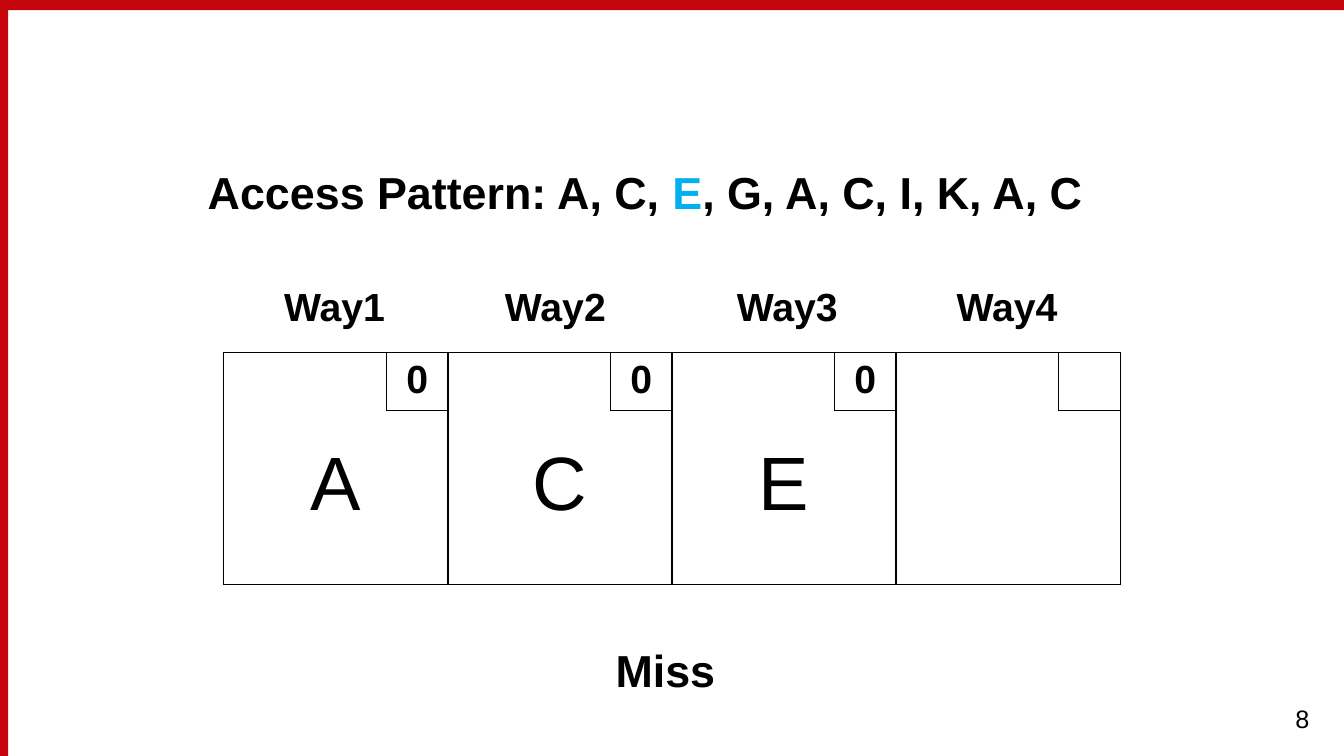
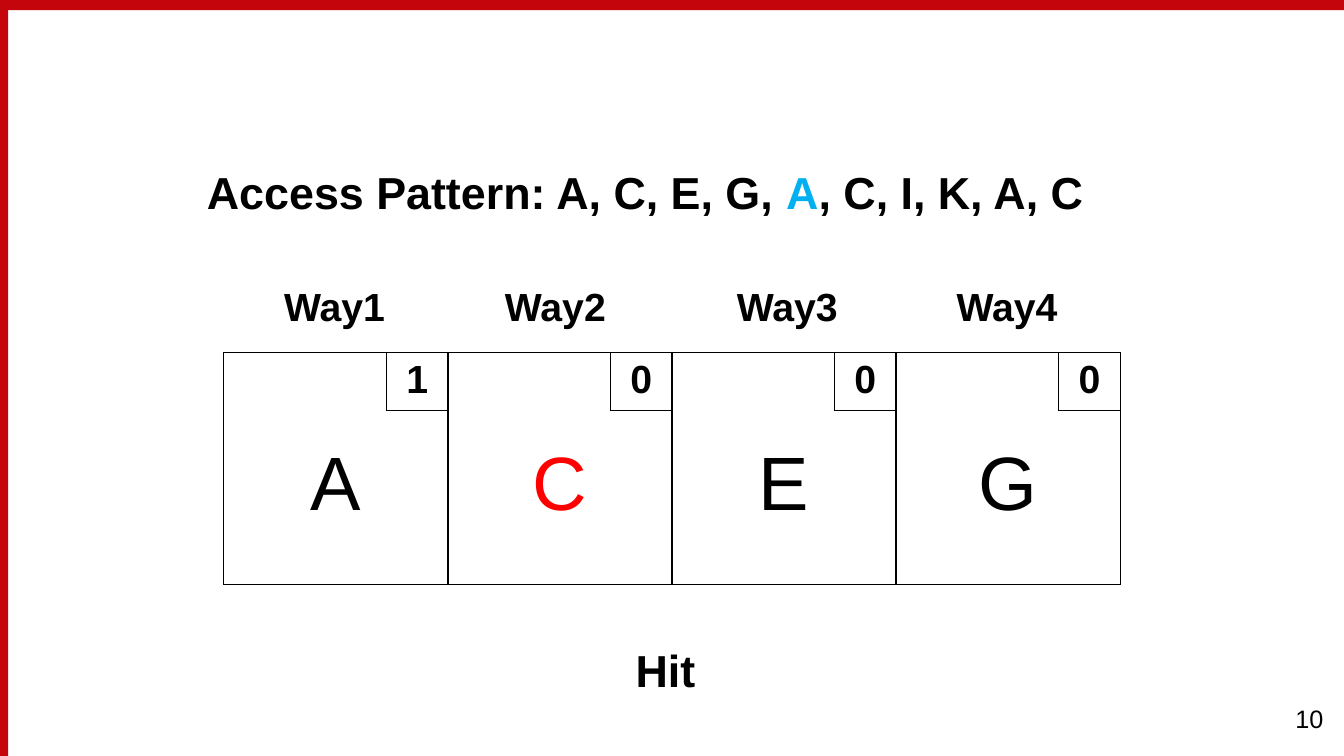
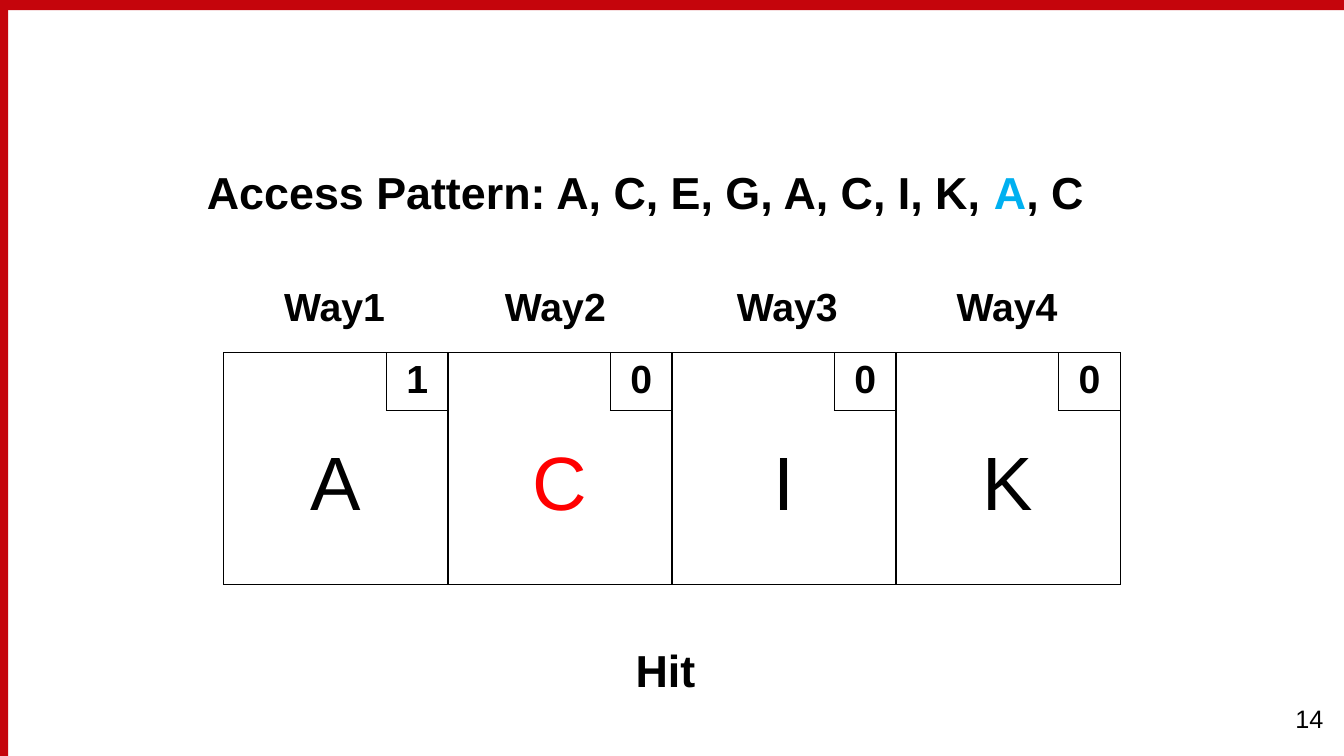
from dataclasses import dataclass
from typing import Optional

from lxml import etree
from pptx import Presentation
from pptx.dml.color import RGBColor
from pptx.enum.shapes import MSO_SHAPE
from pptx.enum.text import MSO_ANCHOR, MSO_AUTO_SIZE, PP_ALIGN
from pptx.oxml.ns import qn
from pptx.util import Inches, Pt

RECTANGLE = MSO_SHAPE.RECTANGLE
CENTER, LEFT = PP_ALIGN.CENTER, PP_ALIGN.LEFT
TOP = MSO_ANCHOR.TOP
NO_FIT = MSO_AUTO_SIZE.NONE

COLORS = {
    "band": "C5050C",
    "text": "000000",
    "current": "00B0F0",
    "victim": "FF0000",
    "paper": "FFFFFF",
}
FONTS = {
    "heading": {"name": "Arial", "size": Pt(32), "bold": True},
    "label": {"name": "Arial", "size": Pt(28), "bold": True},
    "block": {"name": "Arial", "size": Pt(54), "bold": False},
    "page": {"name": "Arial", "size": Pt(18), "bold": False},
}

SLIDE_WIDTH, SLIDE_HEIGHT = 13.33, 7.5
BANDS = ((0, 0, SLIDE_WIDTH, 0.1), (0, 0, 0.08, SLIDE_HEIGHT))

# Cache grid: four ways, each with a reference bit in its top right corner
WAYS = 4
GRID_LEFT, GRID_TOP, GRID_WIDTH, GRID_HEIGHT = 2.22, 3.5, 8.89, 2.3
WAY_WIDTH = GRID_WIDTH / WAYS
BIT_WIDTH, BIT_HEIGHT = 0.61, 0.57
LABEL_LEFT, LABEL_INSET = 1.42, 0.1
LABEL_CENTERS = (3.32, 5.51, 7.81, 9.99)

ACCESSES = "ACEGACIKAC"


@dataclass(frozen=True)
class CacheState:
    page: int
    access: int  # position of the current access in ACCESSES
    blocks: str
    bits: str
    outcome: str
    victim: Optional[int] = None  # way marked for replacement


STATES = (
    CacheState(8, 2, "ACE", "000", "Miss"),
    CacheState(10, 4, "ACEG", "1000", "Hit", victim=1),
    CacheState(14, 8, "ACIK", "1000", "Hit", victim=1),
)


def add_run(paragraph, text: str, font: str, color: str = "text") -> None:
    run = paragraph.add_run()
    run.text = text
    for name, value in FONTS[font].items():
        setattr(run.font, name, value)
    run.font.color.rgb = RGBColor.from_string(COLORS[color])


def add_text(slide, box: tuple, text: str, font: str, align=CENTER, wrap: bool = True):
    shape = slide.shapes.add_textbox(*map(Inches, box))
    shape.text_frame.word_wrap = wrap
    paragraph = shape.text_frame.paragraphs[0]
    paragraph.alignment = align
    add_run(paragraph, text, font)
    return paragraph


def add_bands(slide) -> None:
    for band in BANDS:
        shape = slide.shapes.add_shape(RECTANGLE, *map(Inches, band))
        shape.shadow.inherit = False
        shape.fill.solid()
        shape.fill.fore_color.rgb = RGBColor.from_string(COLORS["band"])
        shape.line.fill.background()


def add_heading(slide, access: int) -> None:
    title = slide.shapes.title
    title.left, title.top, title.width, title.height = map(Inches, (1.42, 1.58, 9.96, 0.64))
    frame = title.text_frame
    for name, value in {"word_wrap": True, "auto_size": NO_FIT, "vertical_anchor": TOP}.items():
        setattr(frame, name, value)
    paragraph = frame.paragraphs[0]
    paragraph.alignment = CENTER
    before = "".join(f"{letter}, " for letter in ACCESSES[:access])
    after = "".join(f", {letter}" for letter in ACCESSES[access + 1:])
    add_run(paragraph, f"Access Pattern: {before}", "heading")
    add_run(paragraph, ACCESSES[access], "heading", "current")
    add_run(paragraph, after, "heading")


def add_way_labels(slide) -> None:
    text = "".join(f"\tWay{way + 1}" for way in range(WAYS))
    paragraph = add_text(slide, (LABEL_LEFT, 2.75, 10.17, 0.57), text, "label", LEFT)
    tabs = etree.SubElement(paragraph._p.get_or_add_pPr(), qn("a:tabLst"))
    for center in LABEL_CENTERS:
        position = Inches(center - LABEL_LEFT - LABEL_INSET)
        etree.SubElement(tabs, qn("a:tab"), pos=str(position), algn="ctr")


def format_cell(cell) -> None:
    properties = cell._tc.get_or_add_tcPr()
    for side in ("a:lnL", "a:lnR", "a:lnT", "a:lnB"):
        line = etree.SubElement(properties, qn(side), w=str(Pt(1)))
        fill = etree.SubElement(line, qn("a:solidFill"))
        etree.SubElement(fill, qn("a:srgbClr"), val=COLORS["text"])
    cell.fill.solid()
    cell.fill.fore_color.rgb = RGBColor.from_string(COLORS["paper"])


def add_table(slide, box: tuple, columns: int) -> list:
    """Draw a one-row table and return its cells."""
    table = slide.shapes.add_table(1, columns, *map(Inches, box)).table
    table.first_row = table.horz_banding = False
    cells = [table.cell(0, column) for column in range(columns)]
    for cell in cells:
        format_cell(cell)
    return cells


def fill_cell(cell, text: str, font: str, color: str = "text", spacing: float = 1.0) -> None:
    paragraph = cell.text_frame.paragraphs[0]
    paragraph.alignment = CENTER
    paragraph.line_spacing = spacing
    add_run(paragraph, text, font, color)


def add_cache(slide, state: CacheState) -> None:
    # Cached blocks
    cells = add_table(slide, (GRID_LEFT, GRID_TOP, GRID_WIDTH, GRID_HEIGHT), WAYS)
    for way, (cell, block) in enumerate(zip(cells, state.blocks)):
        color = "victim" if way == state.victim else "text"
        fill_cell(cell, block, "block", color, spacing=2.0)
    # Reference bits
    for way in range(WAYS):
        left = GRID_LEFT + (way + 1) * WAY_WIDTH - BIT_WIDTH
        (cell,) = add_table(slide, (left, GRID_TOP, BIT_WIDTH, BIT_HEIGHT), 1)
        if way < len(state.bits):
            fill_cell(cell, state.bits[way], "label")


def add_state_slide(presentation, state: CacheState) -> None:
    slide = presentation.slides.add_slide(presentation.slide_layouts.get_by_name("Title Only"))
    add_bands(slide)
    add_heading(slide, state.access)
    add_way_labels(slide)
    add_text(slide, (1.62, 6.33, 9.96, 0.64), state.outcome, "heading")
    add_text(slide, (12.75, 6.93, 0.48, 0.4), str(state.page), "page", LEFT, wrap=False)
    add_cache(slide, state)


def main() -> None:
    presentation = Presentation()
    presentation.slide_width = Inches(SLIDE_WIDTH)
    presentation.slide_height = Inches(SLIDE_HEIGHT)
    for state in STATES:
        add_state_slide(presentation, state)
    presentation.save("out.pptx")


if __name__ == "__main__":
    main()
